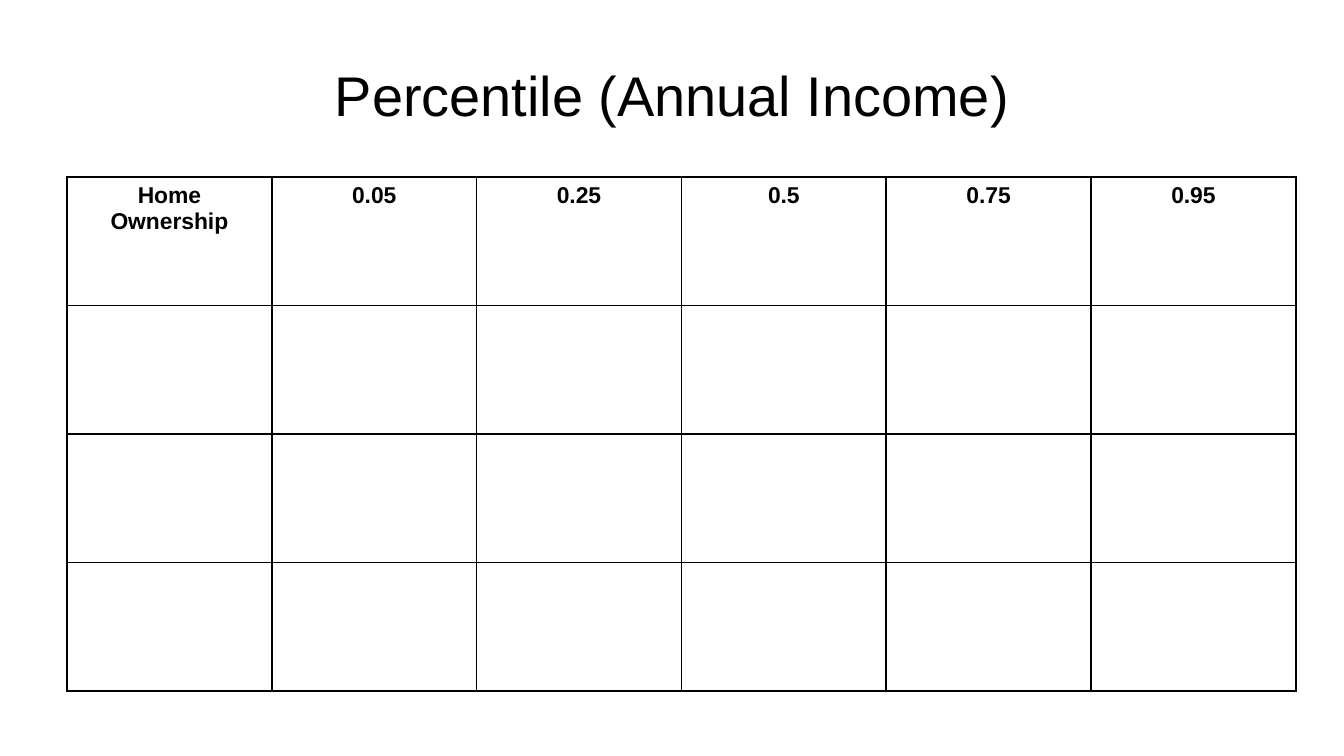
from dataclasses import dataclass

from lxml.etree import SubElement
from pptx import Presentation
from pptx.dml.color import RGBColor
from pptx.enum.text import MSO_ANCHOR, PP_ALIGN
from pptx.oxml.ns import qn
from pptx.util import Pt

EMU_PER_PX = 914400 / 122
TITLE_ONLY = 5


@dataclass(frozen=True)
class Theme:
    font: str = "Arial"
    ink: str = "000000"
    paper: str = "FFFFFF"
    title_size: float = 33
    header_size: float = 13.5
    border_width: float = 1


THEME = Theme()
HEADERS = ["Home Ownership", "0.05", "0.25", "0.5", "0.75", "0.95"]
ROW_COUNT = 4


def px(length):
    return round(length * EMU_PER_PX)


def write_text(frame, text, size, bold=False, align=PP_ALIGN.CENTER):
    frame.word_wrap = True
    para = frame.paragraphs[0]
    para.alignment = align
    span = para.add_run()
    span.text = text
    span.font.name = THEME.font
    span.font.size = Pt(size)
    span.font.bold = bold
    span.font.color.rgb = RGBColor.from_string(THEME.ink)


def add_title(page, text, left, top, width, height):
    title = page.shapes.title
    title.left, title.top = px(left), px(top)
    title.width, title.height = px(width), px(height)
    frame = title.text_frame
    frame.margin_left = frame.margin_right = 0
    frame.margin_top = frame.margin_bottom = 0
    frame.vertical_anchor = MSO_ANCHOR.MIDDLE
    write_text(frame, text, THEME.title_size)


def format_cell(cell):
    """Draw the four borders, then fill; the schema wants lines before the fill."""
    properties = cell._tc.get_or_add_tcPr()
    for side in ("a:lnL", "a:lnR", "a:lnT", "a:lnB"):
        line = SubElement(properties, qn(side), w=str(Pt(THEME.border_width)))
        fill = SubElement(line, qn("a:solidFill"))
        SubElement(fill, qn("a:srgbClr"), val=THEME.ink)
    cell.fill.solid()
    cell.fill.fore_color.rgb = RGBColor.from_string(THEME.paper)


def add_grid(page, headers, row_count, left, top, width, height):
    """Add a table of equal cells whose first row holds the headers."""
    table = page.shapes.add_table(
        row_count, len(headers), px(left), px(top), px(width), px(height)
    ).table
    table.horz_banding = False
    for column in table.columns:
        column.width = px(width / len(headers))
    for row in table.rows:
        row.height = px(height / row_count)
    for cell in table.iter_cells():
        format_cell(cell)
    for cell, header in zip(table.rows[0].cells, headers):
        write_text(cell.text_frame, header, THEME.header_size, bold=True)


def main():
    deck = Presentation()
    deck.slide_width, deck.slide_height = px(1344), px(756)
    page = deck.slides.add_slide(deck.slide_layouts[TITLE_ONLY])
    add_title(page, "Percentile (Annual Income)", 67, 31, 1210, 127)
    add_grid(page, HEADERS, ROW_COUNT, 67, 177, 1229, 514)
    deck.save("out.pptx")


if __name__ == "__main__":
    main()
